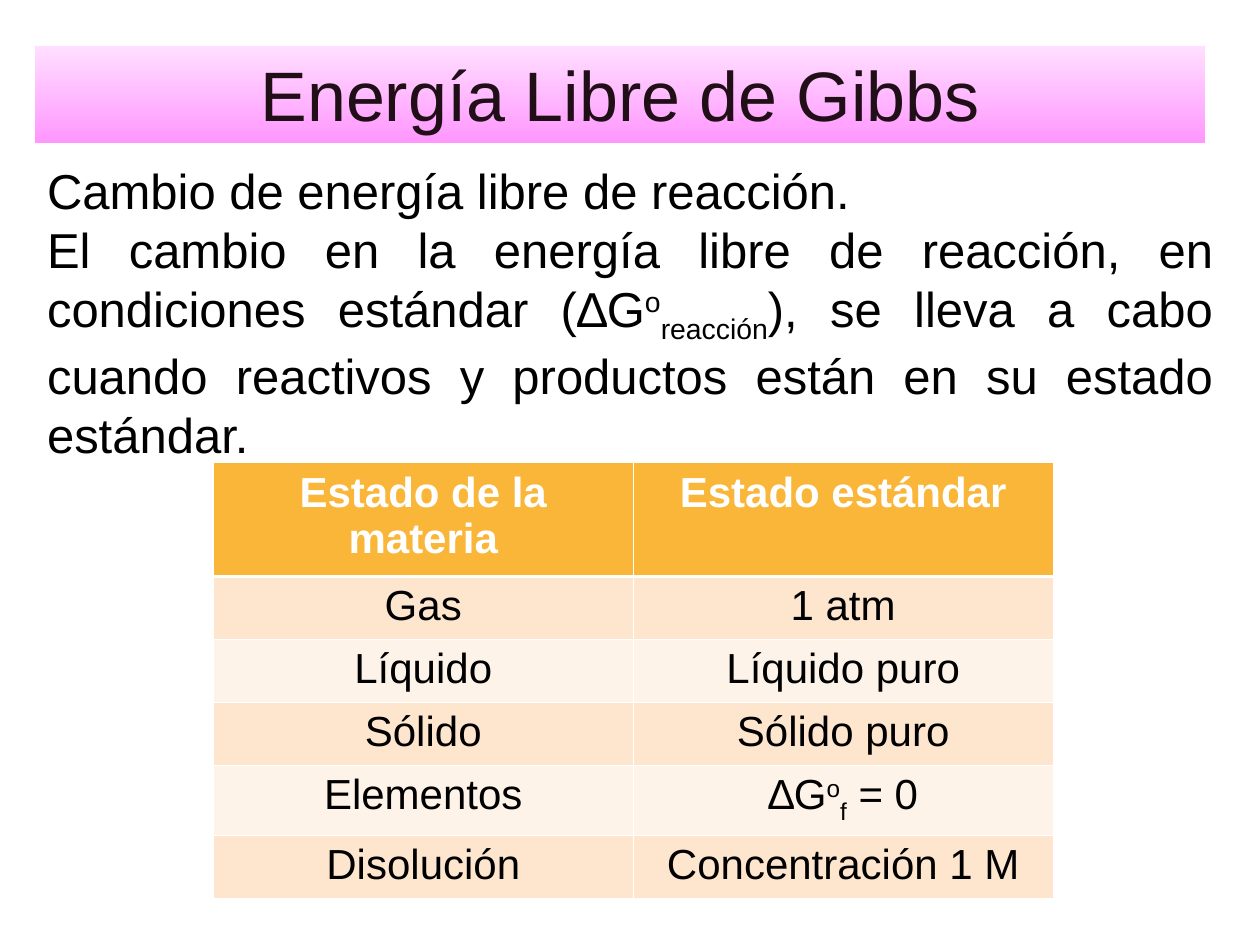
"""Builds the slide on Gibbs free energy with its table of standard states."""
from dataclasses import dataclass
from typing import Any

from lxml.etree import SubElement
from pptx import Presentation
from pptx.dml.color import RGBColor as RGB
from pptx.enum.text import MSO_ANCHOR as ANCHOR, MSO_AUTO_SIZE as AUTO, PP_ALIGN as ALIGN
from pptx.oxml.ns import qn
from pptx.util import Cm, Pt

COLORS = {"title": "210F17", "text": "000000", "white": "FFFFFF", "light": "FFDFFF",
          "pink": "FF97FF", "header": "F9B639", "odd": "FDE5CE", "even": "FEF3E8"}
SUP, SUB = 30000, -25000
BODY = [
    ["Cambio de energía libre de reacción."],
    ["El cambio en la energía libre de reacción, en condiciones estándar (∆G",
     ("o", SUP), ("reacción", SUB),
     "), se lleva a cabo cuando reactivos y productos están en su estado estándar."],
]
STATES = [
    (["Estado de la materia"], ["Estado estándar"]),
    (["Gas"], ["1 atm"]),
    (["Líquido"], ["Líquido puro"]),
    (["Sólido"], ["Sólido puro"]),
    (["Elementos"], ["∆G", ("o", SUP), ("f", SUB), " = 0"]),
    (["Disolución"], ["Concentración 1 M"]),
]
ROW_HEIGHTS = [2.29, 1.27, 1.27, 1.27, 1.41, 1.27]


def color(name):
    return RGB.from_string(COLORS[name])


def write(tf, paragraphs, size, ink="text", font="Arial", bold=False, align=ALIGN.CENTER):
    for i, parts in enumerate(paragraphs):
        p = tf.add_paragraph() if i else tf.paragraphs[0]
        p.alignment = align
        for part in parts:
            text, shift = (part, 0) if isinstance(part, str) else part
            r = p.add_run()
            r.text = text
            r.font.name, r.font.size, r.font.bold = font, Pt(size), bold
            r.font.color.rgb = color(ink)
            if shift:
                r.font._element.set("baseline", str(shift))


def set_border(cell, side, width):
    ln = SubElement(cell._tc.get_or_add_tcPr(), qn(f"a:ln{side}"), w=str(Pt(width)))
    fill = SubElement(ln, qn("a:solidFill"))
    SubElement(fill, qn("a:srgbClr"), val=COLORS["white"])


@dataclass
class Deck:
    slide: Any
    font: str = "Arial"

    def title(self, text, x, y, w, h):
        sp = self.slide.shapes.title
        sp.left, sp.top, sp.width, sp.height = Cm(x), Cm(y), Cm(w), Cm(h)
        sp.fill.gradient()
        sp.fill.gradient_angle = 90
        for stop, name in zip(sp.fill.gradient_stops, ("pink", "light")):
            stop.color.rgb = color(name)
        tf = sp.text_frame
        tf.auto_size, tf.vertical_anchor = AUTO.NONE, ANCHOR.TOP
        write(tf, [[text]], 40, ink="title", font=self.font)

    def text(self, paragraphs, x, y, w, h):
        tf = self.slide.shapes.add_textbox(Cm(x), Cm(y), Cm(w), Cm(h)).text_frame
        tf.word_wrap = True
        write(tf, paragraphs, 28, font=self.font, align=ALIGN.JUSTIFY)

    def table(self, rows, heights, x, y, w):
        table = self.slide.shapes.add_table(
            len(rows), len(rows[0]), Cm(x), Cm(y), Cm(w), Cm(sum(heights))).table
        for i, (row, height) in enumerate(zip(rows, heights)):
            table.rows[i].height = Cm(height)
            fill = "header" if i == 0 else ("even", "odd")[i % 2]
            for j, parts in enumerate(row):
                cell = table.cell(i, j)
                widths = {"L": 0.45, "R": 0.45, "T": 1.47 if i == 1 else 0.45,
                          "B": 1.47 if i == 0 else 0.45}
                for side, width in widths.items():
                    set_border(cell, side, width)
                cell.fill.solid()
                cell.fill.fore_color.rgb = color(fill)
                write(cell.text_frame, [parts], 24, font=self.font, bold=i == 0,
                      ink="text" if i else "white")


def main():
    prs = Presentation()
    prs.slide_width, prs.slide_height = Cm(25.4), Cm(19.05)
    deck = Deck(prs.slides.add_slide(prs.slide_layouts[5]))
    deck.title("Energía Libre de Gibbs", 0.7, 0.92, 23.6, 1.96)
    deck.text(BODY, 0.7, 3.12, 24, 6.35)
    deck.table(STATES, ROW_HEIGHTS, 4.3, 9.33, 16.93)
    prs.save("out.pptx")


if __name__ == "__main__":
    main()
